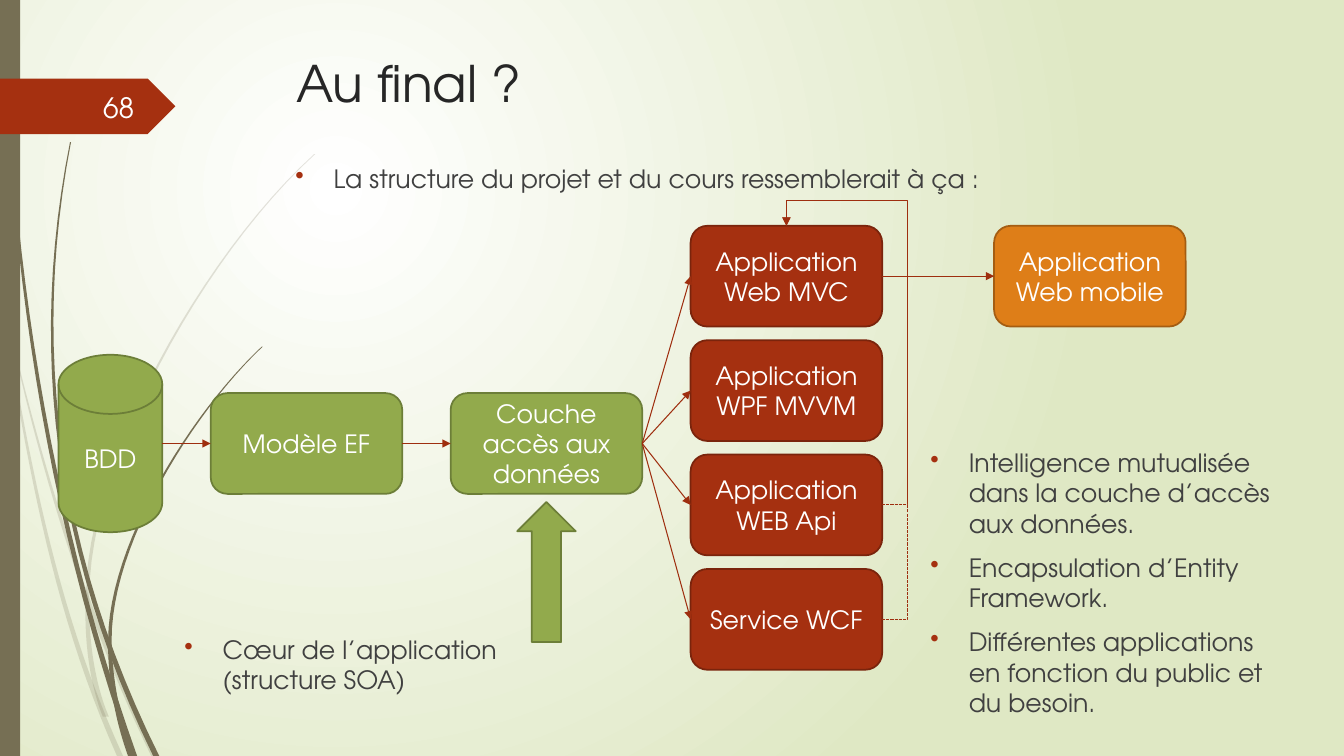
"""Build the slide that sums up the project's application architecture."""
from lxml import etree
from pptx import Presentation
from pptx.dml.color import RGBColor
from pptx.enum import dml, shapes, text
from pptx.oxml.ns import qn
from pptx.util import Inches, Pt

WHITE = RGBColor(0xFF, 0xFF, 0xFF)
PALE_GREEN = RGBColor(0xDF, 0xE8, 0xC4)
BROWN = RGBColor(0x76, 0x6F, 0x54)
RED = RGBColor(0xA5, 0x30, 0x10)
DARK_RED = RGBColor(0x7A, 0x24, 0x0C)
ARROW_RED = RGBColor(0x9E, 0x2E, 0x0F)
GREEN = RGBColor(0x92, 0xAA, 0x4C)
DARK_GREEN = RGBColor(0x6C, 0x7E, 0x38)
ORANGE = RGBColor(0xDE, 0x7E, 0x18)
DARK_ORANGE = RGBColor(0xA4, 0x5D, 0x12)
TITLE_GREY = RGBColor(0x26, 0x26, 0x26)
TEXT_GREY = RGBColor(0x40, 0x40, 0x40)
FONT = "TeX Gyre Adventor"
KIND = shapes.MSO_SHAPE
LINE = shapes.MSO_CONNECTOR
MIDDLE = text.MSO_ANCHOR.MIDDLE


def write(box, lines, color, size=18, align=text.PP_ALIGN.LEFT,
          anchor=text.MSO_ANCHOR.TOP, bullets=False):
    frame = box.text_frame
    settings = {"word_wrap": True, "auto_size": text.MSO_AUTO_SIZE.NONE,
                "vertical_anchor": anchor}
    for name, value in settings.items():
        setattr(frame, name, value)
    for index, line in enumerate(lines):
        para = frame.add_paragraph() if index else frame.paragraphs[0]
        para.alignment = align
        span = para.add_run()
        span.text = line
        for name, value in {"name": FONT, "size": Pt(size)}.items():
            setattr(span.font, name, value)
        span.font.color.rgb = color
        if bullets:
            para.space_before = Pt(10)
            props = para._p.get_or_add_pPr()
            props.set("marL", str(Inches(0.38)))
            props.set("indent", str(-Inches(0.38)))
            tint = etree.SubElement(props, qn("a:buClr"))
            etree.SubElement(tint, qn("a:srgbClr"), val=str(RED))
            etree.SubElement(props, qn("a:buChar"), char="•")


def draw_arrow(start, end, kind=LINE.STRAIGHT):
    arrow = page.shapes.add_connector(kind, *[Inches(value) for value in (*start, *end)])
    arrow.line.color.rgb = ARROW_RED
    arrow.line.width = Pt(0.75)
    if kind == LINE.ELBOW:
        arrow.line.dash_style = dml.MSO_LINE.SQUARE_DOT
    etree.SubElement(arrow.line._get_or_add_ln(), qn("a:tailEnd"), type="triangle")
    etree.SubElement(arrow._element.spPr, qn("a:effectLst"))
    return arrow


deck = Presentation()
deck.slide_width, deck.slide_height = Inches(13.33), Inches(7.5)
page = deck.slides.add_slide(deck.slide_layouts[5])

backdrop = page.background.fill
backdrop.gradient()
for stop, color in zip(backdrop.gradient_stops, (WHITE, PALE_GREEN)):
    stop.color.rgb = color
gradient = page._element.find(".//" + qn("a:gradFill"))
gradient.remove(gradient.find(qn("a:lin")))
circle = etree.SubElement(gradient, qn("a:path"), {"path": "circle"})
etree.SubElement(circle, qn("a:fillToRect"), l="50000", t="50000", r="100000", b="100000")

# A blade is a chain of Bézier curves (start, two handles, end) that widens from tip to root.
PALE, DARK = 20, 100
TIP_WIDTH, ROOT_WIDTH, STEPS = 0.01, 0.06, 24
blades = [
    (PALE, [(0, 2.9), (0.26, 4.43), (0.5, 5.97), (1.19, 7.5)]),
    (PALE, [(0.14, 3.45), (0.46, 4.8), (0.87, 6.15), (1.53, 7.5)]),
    (PALE, [(3.12, 1.53), (2, 2.55), (0.87, 4.6), (0.87, 5.9),
            (0.85, 6.35), (0.92, 6.8), (1.05, 7.11)]),
    (DARK, [(0.04, 0), (0.09, 2.5), (0.45, 5), (1.33, 7.5)]),
    (DARK, [(0.7, 1.41), (0.3, 3.44), (0.55, 5.47), (1.55, 7.5)]),
    (DARK, [(2.6, 3.44), (1.9, 4.1), (1.09, 5.4), (1.09, 6.35),
            (1.09, 6.75), (1.17, 7.15), (1.3, 7.5)]),
]
for opacity, points in blades:
    spine = []
    for first in range(0, len(points) - 1, 3):
        for step in range(STEPS + 1):
            t = step / STEPS
            weights = ((1 - t) ** 3, 3 * t * (1 - t) ** 2, 3 * t * t * (1 - t), t ** 3)
            curve = list(zip(weights, points[first:first + 4]))
            spine.append([sum(weight * point[axis] for weight, point in curve)
                          for axis in (0, 1)])
    left_edge, right_edge = [], []
    for index, (x, y) in enumerate(spine):
        growth = index / (len(spine) - 1)
        half_width = (TIP_WIDTH + growth * (ROOT_WIDTH - TIP_WIDTH)) / 2
        left_edge.append((Inches(max(x - half_width, 0)), Inches(y)))
        right_edge.append((Inches(x + half_width), Inches(y)))
    builder = page.shapes.build_freeform(*left_edge[0])
    builder.add_line_segments(left_edge[1:] + right_edge[::-1])
    blade = builder.convert_to_shape()
    blade.shadow.inherit = False
    blade.fill.solid()
    blade.fill.fore_color.rgb = BROWN
    blade.line.fill.background()
    tint = blade._element.spPr.find(".//" + qn("a:srgbClr"))
    etree.SubElement(tint, qn("a:alpha"), val=str(opacity * 1000))

BOX_WIDTH, BOX_HEIGHT = 1.9, 1
FLOW_MIDDLE = 4.4
DATABASE_LEFT, DATABASE_WIDTH, DATABASE_HEIGHT = 0.58, 1.03, 1.76
MODEL_LEFT, ACCESS_LEFT, APP_LEFT, MOBILE_LEFT = 2.09, 4.47, 6.85, 9.86
APP_TOP, APP_STEP = 2.24, 1.135
APPS = ["Application Web MVC", "Application WPF MVVM", "Application WEB Api", "Service WCF"]
app_tops = [APP_TOP + row * APP_STEP for row in range(len(APPS))]

# Each block: preset shape, place, fill, border, label.
blocks = [
    (KIND.RECTANGLE, (0, 0, 0.2, 7.5), BROWN, None, ""),
    (KIND.PENTAGON, (0, 0.78, 1.74, 0.55), RED, None, ""),
    (KIND.FLOWCHART_MAGNETIC_DISK,
     (DATABASE_LEFT, FLOW_MIDDLE - DATABASE_HEIGHT / 2, DATABASE_WIDTH, DATABASE_HEIGHT),
     GREEN, DARK_GREEN, "BDD"),
    (KIND.UP_ARROW, (5.13, 4.98, 0.58, 1.39), GREEN, DARK_GREEN, ""),
]
flow_top = FLOW_MIDDLE - BOX_HEIGHT / 2
components = [
    (MODEL_LEFT, flow_top, GREEN, DARK_GREEN, "Modèle EF"),
    (ACCESS_LEFT, flow_top, GREEN, DARK_GREEN, "Couche accès aux données"),
    (MOBILE_LEFT, APP_TOP, ORANGE, DARK_ORANGE, "Application Web mobile"),
]
components += [(APP_LEFT, top, RED, DARK_RED, label) for top, label in zip(app_tops, APPS)]
for left, top, fill, border, label in components:
    place = (left, top, BOX_WIDTH, BOX_HEIGHT)
    blocks.append((KIND.ROUNDED_RECTANGLE, place, fill, border, label))
for kind, place, fill, border, label in blocks:
    block = page.shapes.add_shape(kind, *[Inches(value) for value in place])
    block.shadow.inherit = False
    block.fill.solid()
    block.fill.fore_color.rgb = fill
    if border is None:
        block.line.fill.background()
    else:
        block.line.color.rgb = border
        block.line.width = Pt(1.25)
    if label:
        write(block, [label], WHITE, align=text.PP_ALIGN.CENTER, anchor=MIDDLE)

app_middles = [top + BOX_HEIGHT / 2 for top in app_tops]
app_right = APP_LEFT + BOX_WIDTH
draw_arrow((DATABASE_LEFT + DATABASE_WIDTH, FLOW_MIDDLE), (MODEL_LEFT, FLOW_MIDDLE))
draw_arrow((MODEL_LEFT + BOX_WIDTH, FLOW_MIDDLE), (ACCESS_LEFT, FLOW_MIDDLE))
for middle in app_middles:
    draw_arrow((ACCESS_LEFT + BOX_WIDTH, FLOW_MIDDLE), (APP_LEFT, middle))
draw_arrow((app_right, app_middles[0]), (MOBILE_LEFT, app_middles[0]))

# The services loop back to the web application, clearing the boxes by a fixed margin.
MARGIN = 0.25
for middle in app_middles[2:]:
    elbow = draw_arrow((app_right, middle), (APP_LEFT + BOX_WIDTH / 2, APP_TOP), LINE.ELBOW)
    geometry = elbow._element.spPr.find(qn("a:prstGeom"))
    geometry.set("prst", "bentConnector4")
    bends = {"adj1": -MARGIN / (BOX_WIDTH / 2), "adj2": 1 + MARGIN / (middle - APP_TOP)}
    for name, ratio in bends.items():
        etree.SubElement(geometry.find(qn("a:avLst")), qn("a:gd"),
                         name=name, fmla=f"val {round(ratio * 100000)}")

title = page.shapes.title
for name, value in {"left": 2.84, "top": 0.47, "width": 9.75, "height": 1.61}.items():
    setattr(title, name, Inches(value))
write(title, ["Au final ?"], TITLE_GREY, size=36)

bulleted = {"color": TEXT_GREY, "bullets": True}
numbered = {"color": WHITE, "size": 20, "align": text.PP_ALIGN.RIGHT, "anchor": MIDDLE}
captions = [
    ((0.58, 0.86, 0.85, 0.4), ["68"], numbered),
    ((2.83, 1.57, 9.75, 0.6), ["La structure du projet et du cours ressemblerait à ça :"], bulleted),
    ((9.13, 4.39, 3.69, 2.87), [
        "Intelligence mutualisée dans la couche d’accès aux données.",
        "Encapsulation d’Entity Framework.",
        "Différentes applications en fonction du public et du besoin."], bulleted),
    ((1.73, 6.24, 3.69, 0.95), ["Cœur de l’application (structure SOA)"], bulleted),
]
for place, lines, style in captions:
    write(page.shapes.add_textbox(*[Inches(value) for value in place]), lines, **style)

deck.save("out.pptx")
